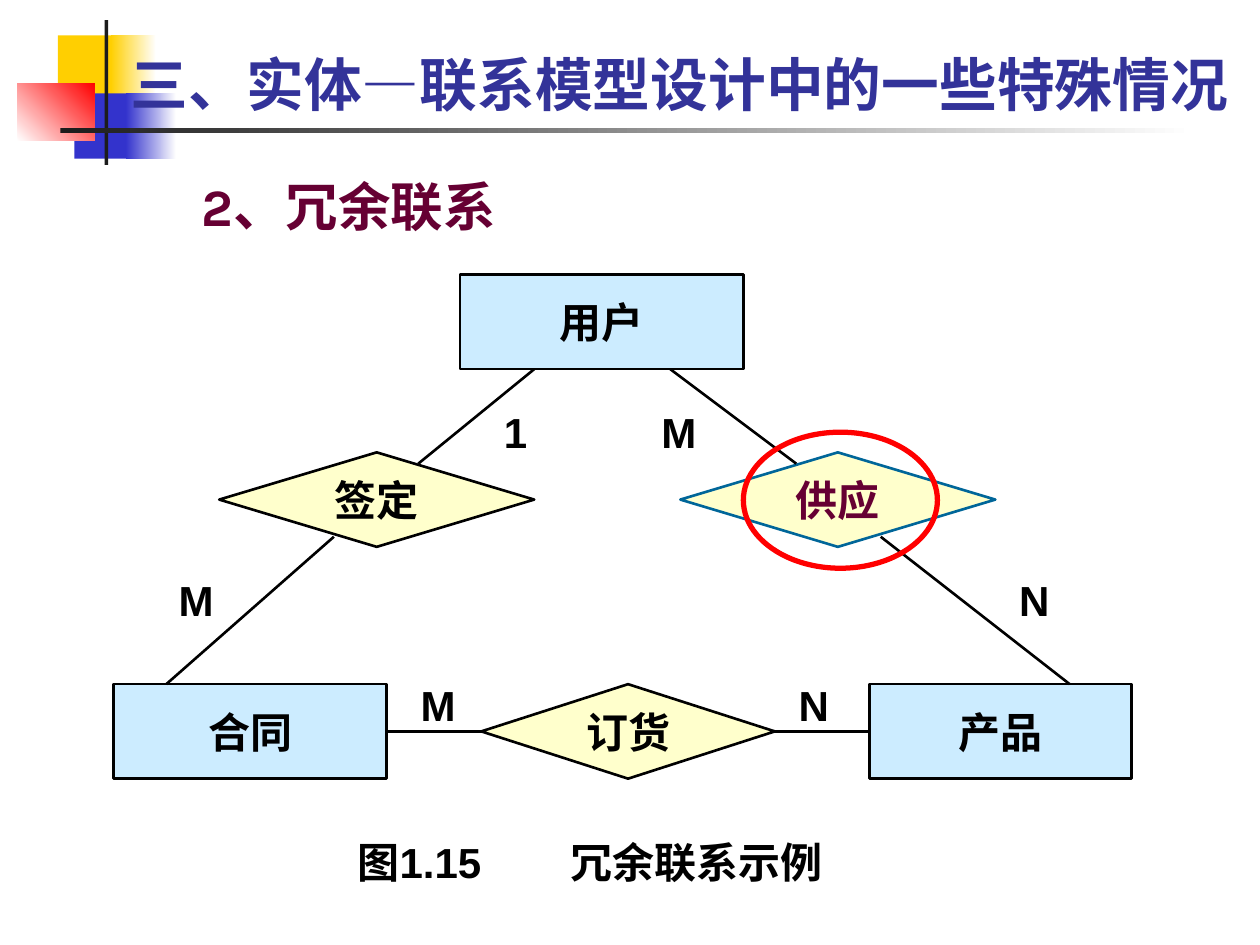
from lxml import etree
from pptx import Presentation
from pptx.dml.color import RGBColor
from pptx.enum import shapes, text
from pptx.oxml import ns
from pptx.util import Inches, Pt

BLACK, WHITE = "000000", "FFFFFF"
BLUE, YELLOW, PLUM = "CCECFF", "FFFFCC", "660033"
RECTANGLE = shapes.MSO_SHAPE.RECTANGLE
DIAMOND = shapes.MSO_SHAPE.FLOWCHART_DECISION


def color(value):
    return RGBColor.from_string(value)


def place(origin, box):
    left, top, width, height = box
    return [Inches(n) for n in (origin[0] + left, origin[1] + top, width, height)]


def style_runs(paragraph, size, value, font="Arial"):
    for run in paragraph.runs:
        run.font.name = font
        run.font.size = Pt(size)
        run.font.bold = True
        run.font.color.rgb = color(value)


def add_figure(slide, kind, origin, box, fill=None, line=None, width=1.5):
    shape = slide.shapes.add_shape(kind, *place(origin, box))
    shape.shadow.inherit = False
    if fill:
        shape.fill.solid()
        shape.fill.fore_color.rgb = color(fill)
    else:
        shape.fill.background()
    if line:
        shape.line.color.rgb = color(line)
        shape.line.width = Pt(width)
    else:
        shape.line.fill.background()
    return shape


def add_text(slide, origin, box, wording, size, value, font="Arial"):
    shape = slide.shapes.add_textbox(*place(origin, box))
    shape.text_frame.word_wrap = True
    shape.text_frame.text = wording
    style_runs(shape.text_frame.paragraphs[0], size, value, font)
    return shape


def add_line(slide, origin, start, end):
    points = [Inches(origin[i] + point[i]) for point in (start, end) for i in (0, 1)]
    connector = slide.shapes.add_connector(shapes.MSO_CONNECTOR.STRAIGHT, *points)
    connector.line.color.rgb = color(BLACK)
    connector.line.width = Pt(1.5)
    etree.SubElement(connector._element.spPr, ns.qn("a:effectLst"))
    return connector


def add_ornament(slide, origin):
    parts = [
        ((0.32, 0.12, 0.48, 0.52), ["FFCF01"], 0),
        ((0.74, 0.12, 0.36, 0.52), ["FFCF01", WHITE], 0),
        ((0.45, 0.58, 0.46, 0.52), ["3333CC"], 0),
        ((0.86, 0.58, 0.4, 0.52), ["3333CC", WHITE], 0),
        ((0, 0.5, 0.61, 0.46), [WHITE, "FF0000"], 45),
        ((0.69, 0, 0.03, 1.15), ["1C1C1C"], 0),
        ((0.34, 0.86, 9, 0.04), ["1C1C1C", WHITE], 0),
    ]
    for box, colors, angle in parts:
        shape = add_figure(slide, RECTANGLE, origin, box, colors[0])
        if len(colors) == 2:
            shape.fill.gradient()
            shape.fill.gradient_angle = angle
            for stop, value in zip(shape.fill.gradient_stops, colors):
                stop.color.rgb = color(value)


def add_title(slide, origin):
    shape = slide.shapes.add_textbox(*place(origin, (0, 0, 9.02, 0.91)))
    frame = shape.text_frame
    frame.word_wrap = True
    frame.vertical_anchor = text.MSO_ANCHOR.BOTTOM
    paragraph = frame.paragraphs[0]
    for wording in ("三、实体", "—", "联系模型设计中的一些特殊情况"):
        paragraph.add_run().text = wording
    style_runs(paragraph, 33, "333399", "Karla")
    paragraph.runs[1].font.name = "Arial"


def add_subtitle(slide, origin):
    shape = add_text(slide, origin, (0, 0, 7.99, 0.71), "2、冗余联系", 30, PLUM, "Karla")
    shape.text_frame.paragraphs[0].line_spacing = 1.2


def add_diagram(slide, origin):
    nodes = {}
    for name, kind, left, top, width, fill, line, value in [
        ("用户", RECTANGLE, 2.75, 0, 2.25, BLUE, BLACK, BLACK),
        ("合同", RECTANGLE, 0, 3.25, 2.17, BLUE, BLACK, BLACK),
        ("产品", RECTANGLE, 6, 3.25, 2.08, BLUE, BLACK, BLACK),
        ("订货", DIAMOND, 2.92, 3.25, 2.33, YELLOW, BLACK, BLACK),
        ("签定", DIAMOND, 0.84, 1.41, 2.5, YELLOW, BLACK, BLACK),
        ("供应", DIAMOND, 4.5, 1.41, 2.5, YELLOW, "006699", PLUM),
    ]:
        shape = add_figure(slide, kind, origin, (left, top, width, 0.75), fill, line)
        frame = shape.text_frame
        frame.word_wrap = False
        frame.vertical_anchor = text.MSO_ANCHOR.MIDDLE
        frame.text = name
        frame.paragraphs[0].alignment = text.PP_ALIGN.CENTER
        style_runs(frame.paragraphs[0], 24, value)
        nodes[name] = shape

    for start, end in [
        ((3.34, 0.75), (2.42, 1.5)),
        ((1.75, 2.08), (0.42, 3.25)),
        ((4.42, 0.75), (5.42, 1.5)),
        ((6.09, 2.08), (7.59, 3.25)),
    ]:
        add_line(slide, origin, start, end)

    for left_node, right_node in (("合同", "订货"), ("订货", "产品")):
        connector = add_line(slide, origin, (0, 0), (0, 0))
        connector.begin_connect(nodes[left_node], 3)
        connector.end_connect(nodes[right_node], 1)

    for wording, left, top, width in [
        ("1", 3, 1, 0.83),
        ("M", 0.42, 2.33, 0.75),
        ("M", 2.34, 3.16, 0.67),
        ("N", 5.34, 3.16, 0.67),
        ("M", 4.25, 1, 0.67),
        ("N", 7.09, 2.33, 0.92),
    ]:
        add_text(slide, origin, (left, top, width, 0.5), wording, 24, BLACK)

    add_figure(slide, shapes.MSO_SHAPE.OVAL, origin, (5, 1.25, 1.54, 1.08), line="FF0000", width=3)


def add_caption(slide, origin):
    shape = add_text(slide, origin, (0, 0, 4.17, 0.5), "图1.15\t冗余联系示例", 24, BLACK)
    properties = shape.text_frame.paragraphs[0]._p.get_or_add_pPr()
    tabs = etree.SubElement(properties, ns.qn("a:tabLst"))
    etree.SubElement(tabs, ns.qn("a:tab"), pos=str(Inches(1.69)), algn="l")


def main():
    presentation = Presentation()
    presentation.slide_width = Inches(10)
    presentation.slide_height = Inches(7.5)
    slide = presentation.slides.add_slide(presentation.slide_layouts[6])
    add_ornament(slide, (0.14, 0.16))
    add_title(slide, (0.94, 0.08))
    add_subtitle(slide, (1.5, 1.23))
    add_diagram(slide, (0.9, 2.18))
    add_caption(slide, (2.74, 6.59))
    presentation.save("out.pptx")


if __name__ == "__main__":
    main()
